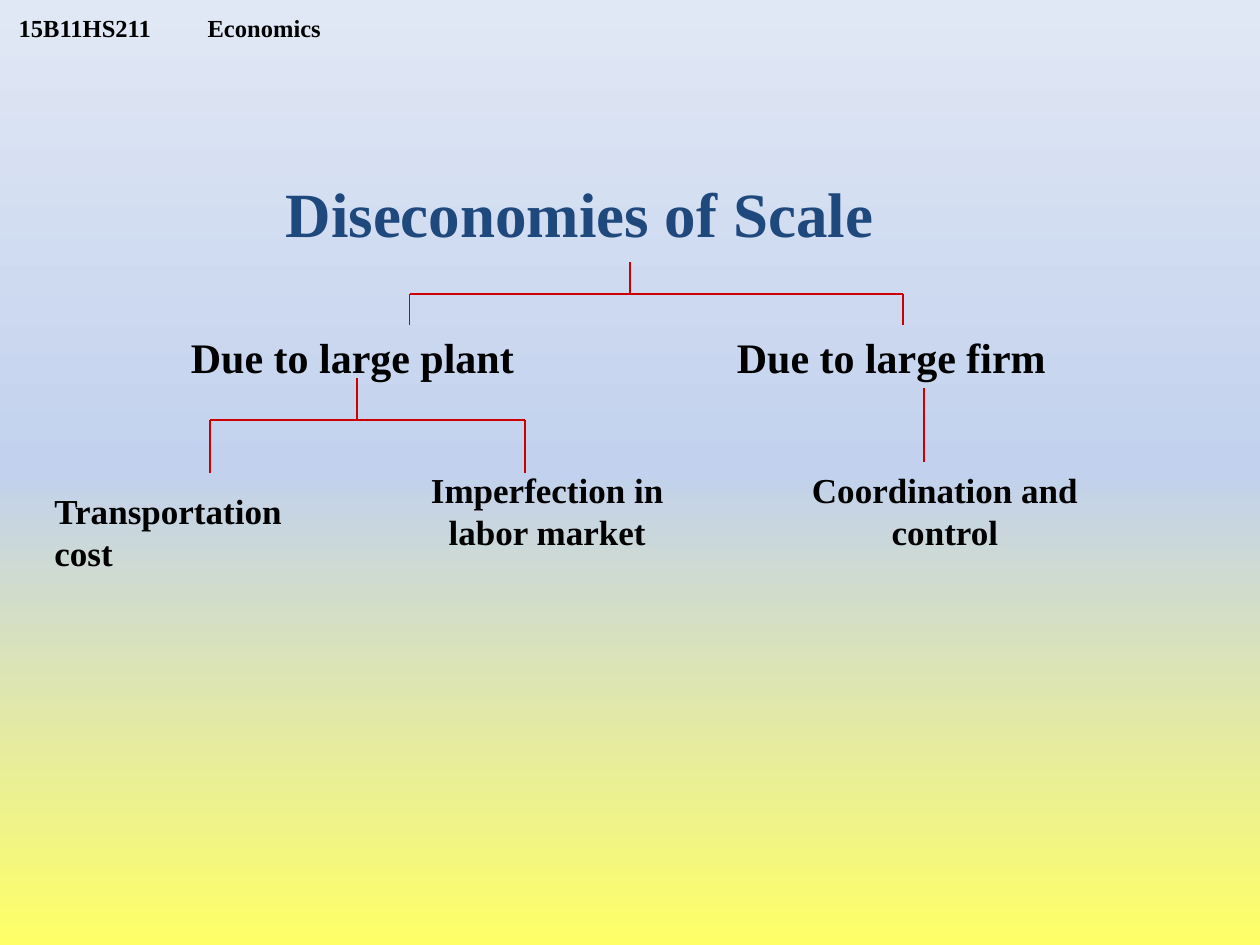
from dataclasses import dataclass

from lxml.etree import SubElement
from pptx import Presentation
from pptx.dml.color import RGBColor
from pptx.enum.shapes import MSO_CONNECTOR as Connector
from pptx.enum.text import MSO_ANCHOR as Anchor, MSO_AUTO_SIZE as AutoSize, PP_ALIGN as Align
from pptx.oxml.ns import qn
from pptx.slide import Slide
from pptx.text.text import TextFrame
from pptx.util import Pt

FONT = "Times New Roman"
BLACK, NAVY, RED = "000000", "1F497D", "CC0000"
BACKGROUND_STOPS = [(0, "FFFF66"), (50, "C2D1ED"), (100, "E1E8F5")]


@dataclass
class Label:
    lines: list[str]
    left: float
    top: float
    width: float
    height: float
    size: float
    align: Align = Align.LEFT
    wrap: bool = False


@dataclass
class Bracket:
    """A stem that falls to a crossbar, with a drop to each branch."""
    stem_x: float
    top: float
    bar_y: float
    bottom: float
    branches: list[float]


LABELS = [
    Label(["Due to large plant"], 102, 186, 217, 36, 24),
    Label(["Due to large firm"], 414, 186, 205, 36, 24),
    Label(["Transportation cost"], 24, 276, 168, 55.5, 20, wrap=True),
    Label(["Imperfection in", "labor market"], 234, 264, 157.5, 55.5, 20, Align.CENTER),
    Label(["Coordination and", "control"], 450, 264, 180, 55.5, 20, Align.CENTER),
]
BRACKETS = [
    Bracket(360, 150, 168, 186, [234, 516]),
    Bracket(204, 216, 240, 270, [120, 300]),
]


def rgb(value: str) -> RGBColor:
    return RGBColor.from_string(value)


def paint_background(slide: Slide) -> None:
    fill = slide.background.fill
    fill.gradient()
    fill.gradient_angle = 90
    stops = slide.element.find(".//" + qn("a:gsLst"))
    for stop in list(stops):
        stops.remove(stop)
    for percent, color in BACKGROUND_STOPS:
        stop = SubElement(stops, qn("a:gs"), pos=str(percent * 1000))
        SubElement(stop, qn("a:srgbClr"), val=color)


def write(frame: TextFrame, lines: list[str], size: float, color: str = BLACK,
          align: Align = Align.LEFT) -> None:
    frame.text = "\n".join(lines)
    for paragraph in frame.paragraphs:
        paragraph.alignment = align
        font = paragraph.font
        font.name, font.size, font.bold = FONT, Pt(size), True
        font.color.rgb = rgb(color)


def add_label(slide: Slide, label: Label) -> TextFrame:
    box = slide.shapes.add_textbox(Pt(label.left), Pt(label.top), Pt(label.width), Pt(label.height))
    frame = box.text_frame
    frame.word_wrap = label.wrap
    frame.auto_size = AutoSize.SHAPE_TO_FIT_TEXT
    write(frame, label.lines, label.size, align=label.align)
    return frame


def add_line(slide: Slide, x1: float, y1: float, x2: float, y2: float) -> None:
    line = slide.shapes.add_connector(Connector.STRAIGHT, Pt(x1), Pt(y1), Pt(x2), Pt(y2))
    line.line.color.rgb = rgb(RED)
    line.line.width = Pt(0.75)
    SubElement(line.element.spPr, qn("a:effectLst"))


def add_bracket(slide: Slide, bracket: Bracket) -> None:
    add_line(slide, bracket.stem_x, bracket.top, bracket.stem_x, bracket.bar_y)
    add_line(slide, bracket.branches[0], bracket.bar_y, bracket.branches[-1], bracket.bar_y)
    for x in bracket.branches:
        add_line(slide, x, bracket.bar_y, x, bracket.bottom)


def add_course_header(slide: Slide) -> None:
    header = slide.shapes.add_textbox(Pt(3.6), Pt(0), Pt(230.4), Pt(24)).text_frame
    header.word_wrap = True
    header.vertical_anchor = Anchor.BOTTOM
    header.margin_top = header.margin_bottom = 0
    # The tab stop sets the gap between course code and course name
    header.text = "15B11HS211\tEconomics"
    properties = header.paragraphs[0]._p.get_or_add_pPr()
    tabs = SubElement(properties, qn("a:tabLst"))
    SubElement(tabs, qn("a:tab"), pos=str(Pt(117.2)), algn="l")
    write(header, ["15B11HS211\tEconomics"], 14)


def add_title(slide: Slide) -> None:
    title = slide.shapes.title
    title.left, title.top, title.width, title.height = Pt(156), Pt(96), Pt(504), Pt(51)
    frame = title.text_frame
    frame.vertical_anchor = Anchor.TOP
    frame.auto_size = AutoSize.SHAPE_TO_FIT_TEXT
    write(frame, ["Diseconomies of Scale"], 36, NAVY)


def main() -> None:
    deck = Presentation()
    deck.slide_width, deck.slide_height = Pt(720), Pt(540)
    slide = deck.slides.add_slide(deck.slide_layouts.get_by_name("Title Only"))

    paint_background(slide)
    add_course_header(slide)
    add_title(slide)

    # Causes and their effects
    for label in LABELS:
        add_label(slide, label)

    # Tree lines
    for bracket in BRACKETS:
        add_bracket(slide, bracket)
    add_line(slide, 528, 222, 528, 264)

    deck.save("out.pptx")


if __name__ == "__main__":
    main()
